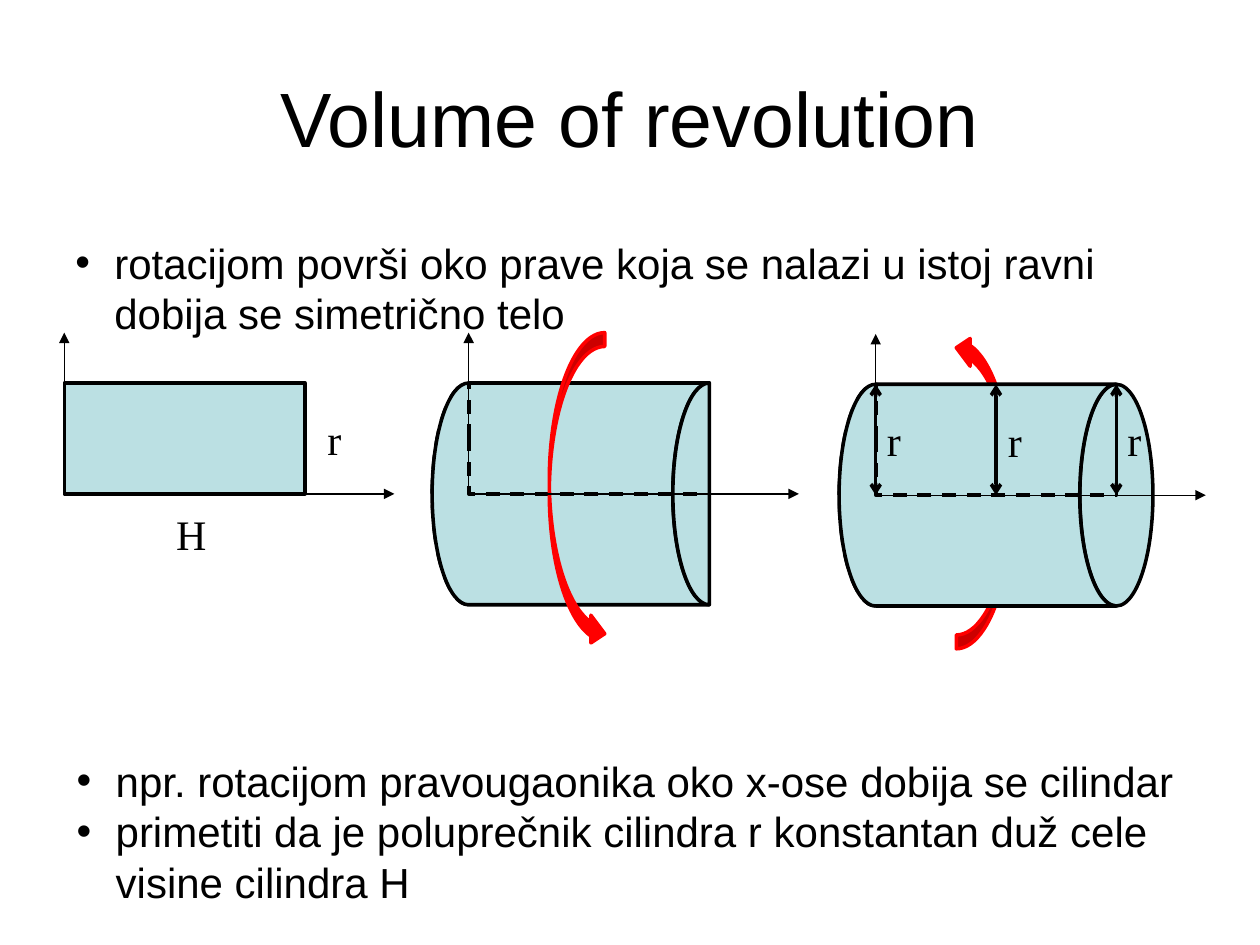
from dataclasses import dataclass

from lxml.etree import SubElement
from pptx import Presentation
from pptx.dml.color import RGBColor
from pptx.enum.dml import MSO_LINE
from pptx.enum.shapes import MSO_CONNECTOR, MSO_SHAPE
from pptx.enum.text import MSO_ANCHOR, PP_ALIGN
from pptx.oxml.ns import qn
from pptx.util import Inches, Pt


@dataclass(frozen=True)
class Theme:
    ink: RGBColor = RGBColor(0x00, 0x00, 0x00)
    area: RGBColor = RGBColor(0xBB, 0xE0, 0xE3)
    turn: RGBColor = RGBColor(0xFF, 0x00, 0x00)
    sans: str = "Arial"
    serif: str = "Times New Roman"
    title_size: float = 44
    text_size: float = 24
    text_pitch: float = 29
    thick: float = 2
    thin: float = 0.75


@dataclass(frozen=True)
class Figure:
    """One pair of axes with its origin on the axis of rotation."""
    x: float
    y: float


@dataclass(frozen=True)
class Label:
    text: str
    x: float
    y: float
    width: float = 0.34


THEME = Theme()
LENGTH, RADIUS, DEPTH = 1.91, 0.88, 0.29   # cylinder height, radius, half width of an end
AXIS_X, AXIS_Y = 2.62, 1.28
ROUND = 0.55                               # control length of a quarter ellipse
PLANE, HALF, SOLID = Figure(0.51, 3.92), Figure(3.72, 3.92), Figure(6.95, 3.93)
LABELS = [Label("r", 8.85, 3.24), Label("r", 7.9, 3.25), Label("r", 6.94, 3.24),
          Label("r", 2.5, 3.23), Label("H", 1.3, 3.99, 0.43)]

deck = Presentation()
deck.slide_width, deck.slide_height = Inches(10), Inches(7.5)
slide = deck.slides.add_slide(deck.slide_layouts[6])


def style(shape, fill=None, line=THEME.ink, dashed=False) -> None:
    shape.shadow.inherit = False
    if fill is None:
        shape.fill.background()
    else:
        shape.fill.solid()
        shape.fill.fore_color.rgb = fill
    shape.line.color.rgb = line
    shape.line.width = Pt(THEME.thick)
    if dashed:
        shape.line.dash_style = MSO_LINE.DASH


def add_turned(kind, left: float, top: float, width: float, height: float, **look) -> None:
    """Place a shape turned by 90 degrees so that it covers the given area."""
    shift = (width - height) / 2
    shape = slide.shapes.add_shape(kind, Inches(left + shift), Inches(top - shift),
                                   Inches(height), Inches(width))
    shape.rotation = 90
    style(shape, **look)


def add_rectangle(figure: Figure, **look) -> None:
    add_turned(MSO_SHAPE.RECTANGLE, figure.x, figure.y - RADIUS, LENGTH, RADIUS, **look)


def add_end(x: float, y: float, **look) -> None:
    add_turned(MSO_SHAPE.OVAL, x - DEPTH, y - RADIUS, 2 * DEPTH, 2 * RADIUS, **look)


def left_arc(x: float, y: float) -> list[tuple[float, float]]:
    """Top, middle and bottom of the left half of an end."""
    return [(x, y - RADIUS), (x - DEPTH, y), (x, y + RADIUS)]


def round_slants(shape) -> None:
    """Turn slanting segments, which come in pairs, into quarter ellipses."""
    outline = next(shape.element.iter(qn("a:path")))
    x0 = y0 = 0
    to_middle = True
    for step in outline:
        if not len(step):
            continue
        x1, y1 = int(step[0].get("x")), int(step[0].get("y"))
        if step.tag == qn("a:lnTo") and x0 != x1 and y0 != y1:
            dx, dy = ROUND * (x1 - x0), ROUND * (y1 - y0)
            controls = ([(x0 + dx, y0), (x1, y1 - dy)] if to_middle
                        else [(x0, y0 + dy), (x1 - dx, y1)])
            step.tag = qn("a:cubicBezTo")
            for place, (x, y) in enumerate(controls):
                point = SubElement(step, qn("a:pt"), x=str(round(x)), y=str(round(y)))
                step.insert(place, point)
            to_middle = not to_middle
        x0, y0 = x1, y1


def add_outline(points: list[tuple[float, float]]) -> None:
    corners = [(Inches(x), Inches(y)) for x, y in points]
    builder = slide.shapes.build_freeform(*corners[0])
    builder.add_line_segments(corners[1:] + corners[:1], close=True)
    shape = builder.convert_to_shape()
    round_slants(shape)
    style(shape, fill=THEME.area)


def add_body(figure: Figure) -> None:
    add_outline(left_arc(figure.x + LENGTH, figure.y) + left_arc(figure.x, figure.y)[::-1])


def add_curved_arrow(left: float, top: float, mirrored: bool = False) -> None:
    shape = slide.shapes.add_shape(MSO_SHAPE.CURVED_RIGHT_ARROW, Inches(left), Inches(top),
                                   Inches(0.44), Inches(2.5))
    style(shape, fill=THEME.turn, line=THEME.turn)
    if mirrored:
        frame = shape.element.spPr.find(qn("a:xfrm"))
        frame.set("flipH", "1")
        frame.set("flipV", "1")


def add_arrow(x1: float, y1: float, x2: float, y2: float, width: float,
              tail: str, head: str = "none") -> None:
    line = slide.shapes.add_connector(MSO_CONNECTOR.STRAIGHT, Inches(x1), Inches(y1),
                                      Inches(x2), Inches(y2))
    line.line.color.rgb = THEME.ink
    line.line.width = Pt(width)
    outline = line.element.spPr.find(qn("a:ln"))
    SubElement(outline, qn("a:headEnd"), type=head)
    SubElement(outline, qn("a:tailEnd"), type=tail)
    SubElement(line.element.spPr, qn("a:effectLst"))


def add_axes(figure: Figure) -> None:
    for dx, dy in ((0, -AXIS_Y), (AXIS_X, 0)):
        add_arrow(figure.x, figure.y, figure.x + dx, figure.y + dy, THEME.thin, "triangle")


def add_text(left: float, top: float, width: float, height: float, *lines: str,
             font: str = THEME.sans, size: float = THEME.text_size, align=PP_ALIGN.LEFT,
             anchor=MSO_ANCHOR.TOP, wrap: bool = True, bullet: bool = False) -> None:
    box = slide.shapes.add_textbox(Inches(left), Inches(top), Inches(width), Inches(height))
    frame = box.text_frame
    frame.word_wrap, frame.vertical_anchor = wrap, anchor
    for index, text in enumerate(lines):
        para = frame.add_paragraph() if index else frame.paragraphs[0]
        para.alignment = align
        if bullet:
            para.line_spacing = Pt(THEME.text_pitch)
            properties = para._p.get_or_add_pPr()
            properties.set("marL", str(Inches(0.31)))
            properties.set("indent", str(Inches(-0.31)))
            SubElement(properties, qn("a:buFont"), typeface=font)
            SubElement(properties, qn("a:buChar"), char="•")
        span = para.add_run()
        span.text = text
        span.font.name, span.font.size = font, Pt(size)
        span.font.color.rgb = THEME.ink


# Title, with the returning arrow that passes behind the full cylinder
add_curved_arrow(7.59, 2.65, mirrored=True)
add_text(0.5, 0.3, 9, 1.25, "Volume of revolution", size=THEME.title_size,
         align=PP_ALIGN.CENTER, anchor=MSO_ANCHOR.MIDDLE)

# Rectangle in the plane
add_rectangle(PLANE, fill=THEME.area)
add_axes(PLANE)

# Half-turned body
add_end(HALF.x, HALF.y, dashed=True)
add_body(HALF)
add_outline(left_arc(HALF.x + LENGTH, HALF.y))
add_rectangle(HALF, dashed=True)
add_curved_arrow(4.36, 2.64)
add_axes(HALF)

# Full cylinder
add_end(SOLID.x, SOLID.y, dashed=True)
add_end(SOLID.x + LENGTH, SOLID.y, fill=THEME.area)
add_body(SOLID)
add_rectangle(SOLID, dashed=True)
add_axes(SOLID)

# Explanations
add_text(0.5, 1.83, 9.06, 0.91,
         "rotacijom površi oko prave koja se nalazi u istoj ravni dobija se simetrično telo",
         bullet=True)
add_text(0.51, 5.94, 9.25, 1.31,
         "npr. rotacijom pravougaonika oko x-ose dobija se cilindar",
         "primetiti da je poluprečnik cilindra r konstantan duž cele visine cilindra H",
         bullet=True)

# Radius arrows and dimension labels
for part in (1, 0.5, 0):
    radius_x = SOLID.x + part * LENGTH
    add_arrow(radius_x, SOLID.y - RADIUS, radius_x, SOLID.y, THEME.thick, "arrow", "arrow")
for label in LABELS:
    add_text(label.x, label.y, label.width, 0.5, label.text, font=THEME.serif, wrap=False)

deck.save("out.pptx")
